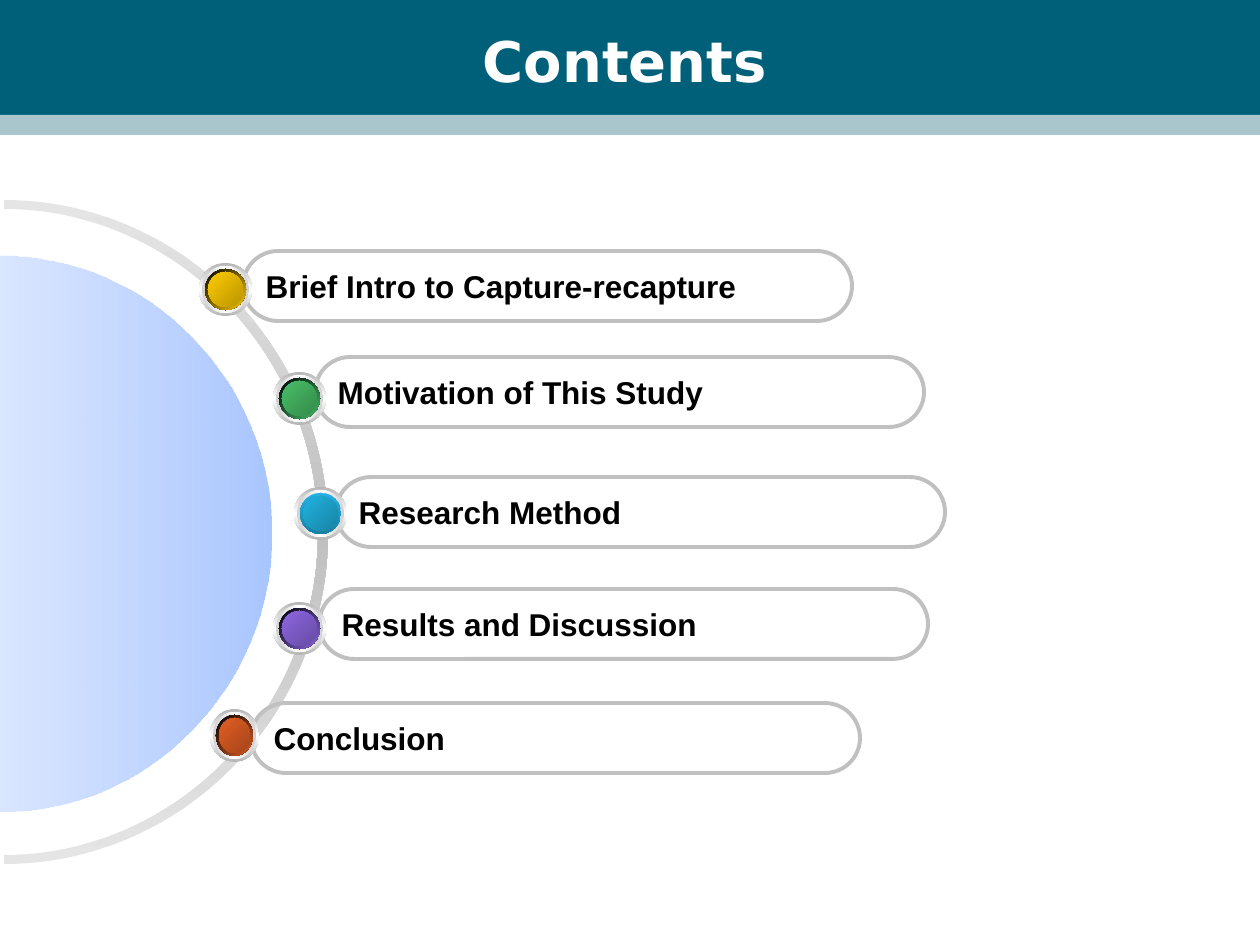
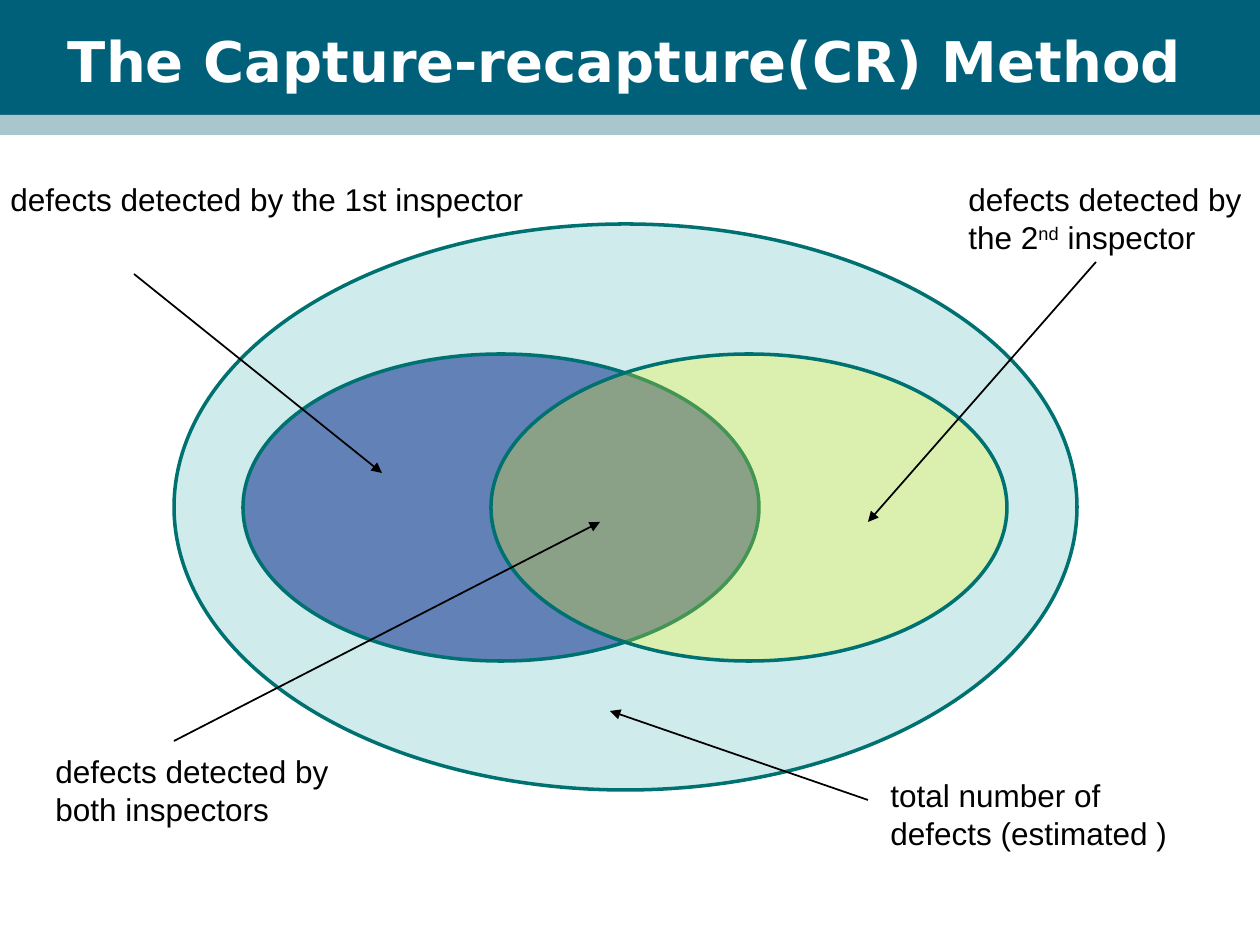
from lxml.etree import SubElement
from pptx import Presentation
from pptx.dml.color import RGBColor
from pptx.enum.shapes import MSO_CONNECTOR, MSO_SHAPE
from pptx.enum.text import MSO_ANCHOR, PP_ALIGN
from pptx.oxml.ns import qn
from pptx.util import Emu, Pt

EMU_PER_INCH, PX_PER_INCH = 914400, 126
SLIDE_W, SLIDE_H = 1260, 945
TITLE_FONT, BODY_FONT = "DejaVu Sans", "Arial"
WHITE, BLACK, SILVER = "FFFFFF", "000000", "C0C0C0"
BAND, BAND_EDGE, OUTLINE = "00607A", "A9C6CC", "007171"
PILL_W, PILL_H, BALL_H = 609, 70, 53
ROUNDNESS = 0.55

OUTER_RIM = (["B6B6B6", WHITE, "B6B6B6"], 90)
INNER_RIM = (["D1D1D1", WHITE, "D1D1D1"], 0)
HALO = ([WHITE, "6699FF", WHITE], 45)
GLOW = (["4E75C3", "6699FF", "4E75C3"], 315)

TOPICS = [
    ("Conclusion", (251, 703), (210, 709, 49), ([BLACK, "E35E23"], 45), "E35E23", "A6451A"),
    ("Results and Discussion", (319, 589), (273, 602, 53), ([BLACK, "8D67E1"], 45), "8D67E1", "674BA4"),
    ("Research Method", (336, 477), (294, 487, 53), (["21B3E1", "1880A1"], 90), "21B3E1", "1883A4"),
    ("Motivation of This Study", (315, 357), (273, 372, 53), ([BLACK, "48BE67"], 45), "48BE67", "358B4B"),
    ("Brief Intro to Capture-recapture", (243, 251), (199, 263, 53), ([BLACK, "FFCC00"], 45), "FFCC00", "BA9500"),
]

DEFECT_SETS = [
    ((0, 0, 903, 566), "009999", 19),
    ((69, 130, 516, 307), "163794", 59),
    ((317, 130, 516, 307), "FFFF00", 26),
]

CALLOUTS = [
    (["defects detected by both inspectors"], (43, 746, 359, 89), (174, 741), (600, 522)),
    (["defects detected by the 1st inspector"], (-2, 174, 543, 50), (134, 274), (382, 473)),
    (["defects detected by the 2", "nd", " inspector"], (956, 174, 320, 89), (1096, 262), (868, 522)),
    (["total number of defects (estimated )"], (878, 770, 320, 89), (868, 800), (610, 711)),
]


def px(length):
    """Turn px into EMU."""
    return Emu(round(length * EMU_PER_INCH / PX_PER_INCH))


def color(hex_code):
    """Turn a hex string into a colour."""
    return RGBColor.from_string(hex_code)


def set_alpha(color_element, percent):
    """Make a colour element partly transparent."""
    SubElement(color_element, qn("a:alpha"), val=str(percent * 1000))


def fill_solid(shape, hex_code, alpha=100):
    """Fill a shape with one colour."""
    shape.fill.solid()
    shape.fill.fore_color.rgb = color(hex_code)
    if alpha < 100:
        set_alpha(shape.element.spPr.find(qn("a:solidFill"))[0], alpha)


def fill_gradient(shape, hex_codes, angle, alphas=None):
    """Fill a shape with evenly spaced colours along a clockwise angle."""
    shape.fill.gradient()
    gradient = shape.element.spPr.find(qn("a:gradFill"))
    stops = gradient.find(qn("a:gsLst"))
    for stop in list(stops):
        stops.remove(stop)
    for index, hex_code in enumerate(hex_codes):
        position = 100000 * index // (len(hex_codes) - 1)
        stop = SubElement(stops, qn("a:gs"), pos=str(position))
        tint = SubElement(stop, qn("a:srgbClr"), val=hex_code)
        if alphas:
            set_alpha(tint, alphas[index])
    gradient.find(qn("a:lin")).set("ang", str(angle * 60000))


def outline(shape, hex_code=None, width=1):
    """Draw the outline, or remove it when no colour is given."""
    shape.shadow.inherit = False
    if hex_code:
        shape.line.color.rgb = color(hex_code)
        shape.line.width = Pt(width)
    else:
        shape.line.fill.background()


def add_preset(shapes, kind, box):
    """Add a preset shape in a px box."""
    return shapes.add_shape(kind, *map(px, box))


def format_text(frame, font, size, hex_code, bold=False, align=PP_ALIGN.LEFT):
    """Give all runs of a wrapping frame one look."""
    frame.word_wrap = True
    for paragraph in frame.paragraphs:
        paragraph.alignment = align
        for run in paragraph.runs:
            run.font.name = font
            run.font.size = Pt(size)
            run.font.bold = bold
            run.font.color.rgb = color(hex_code)


def add_titled_slide(prs, title):
    """Add a slide with the shared bands and title."""
    slide = prs.slides.add_slide(prs.slide_layouts[6])
    for box, hex_code in [((0, 0, SLIDE_W, 115), BAND), ((0, 115, SLIDE_W, 20), BAND_EDGE)]:
        band = add_preset(slide.shapes, MSO_SHAPE.RECTANGLE, box)
        fill_solid(band, hex_code)
        outline(band)
    heading = slide.shapes.add_textbox(*map(px, (42, 21, 1166, 78))).text_frame
    heading.text = title
    heading.vertical_anchor = MSO_ANCHOR.MIDDLE
    format_text(heading, TITLE_FONT, 32, WHITE, True, PP_ALIGN.CENTER)
    return slide


def arch(center, base, half_width, height):
    """List the end and control points of two curves forming an arch."""
    bend_x, bend_y = ROUNDNESS * half_width, ROUNDNESS * height
    offsets = [(-half_width, 0), (-half_width, bend_y), (-bend_x, height), (0, height),
               (bend_x, height), (half_width, bend_y), (half_width, 0)]
    return [(px(center + x), px(base - y)) for x, y in offsets]


def add_half_round(slide, arches, frame_height):
    """Add arches as one curved outline in a taller frame turned to the right."""
    points = sum(arches, [])
    builder = slide.shapes.build_freeform(*points[0])
    builder.add_line_segments(points[1:], close=True)
    shape = builder.convert_to_shape()
    outline(shape)
    route = next(shape.element.iter(qn("a:path")))
    segments = route.findall(qn("a:lnTo"))
    for first in [start + step for start in range(0, len(segments), 7) for step in (0, 3)]:
        curve = SubElement(route, qn("a:cubicBezTo"))
        segments[first].addprevious(curve)
        for segment in segments[first:first + 3]:
            curve.append(segment[0])
            route.remove(segment)
    shape.height = px(frame_height)
    route.set("h", str(shape.height))
    shape.rotation = 90
    return shape


def add_dial(slide, left, middle):
    """Draw the half ring and the half disc at the slide edge."""
    outer = arch(left - 1, middle - 5, 332, 324)
    inner = arch(left - 1, middle - 5, 323, 314)
    ring = add_half_round(slide, [outer, inner[::-1]], 658)
    fill_gradient(ring, ["E5E5E5", SILVER, "E5E5E5"], 0)
    disc = add_half_round(slide, [arch(left, middle + 2, 278, 271)], 542)
    fill_gradient(disc, ["6699FF", WHITE], 90, [56, 48])


def add_pill(slide, topic, left, top):
    """Draw one rounded topic label."""
    pill = add_preset(slide.shapes, MSO_SHAPE.ROUNDED_RECTANGLE, (left, top, PILL_W, PILL_H))
    pill.adjustments[0] = 0.5
    pill.fill.background()
    outline(pill, SILVER, 2.25)
    pill.text_frame.text = topic
    pill.text_frame.vertical_anchor = MSO_ANCHOR.MIDDLE
    format_text(pill.text_frame, BODY_FONT, 18, BLACK, True)


def add_ball(slide, left, top, width, shade, core):
    """Draw one ball as a group of nested discs."""
    ball = slide.shapes.add_group_shape()
    layers = [OUTER_RIM, INNER_RIM, HALO, shade, GLOW, core]
    for inset, (hex_codes, angle) in zip((0, 3, 6, 6, 9, 9), layers):
        box = (left + inset, top + inset, width - 2 * inset, BALL_H - 2 * inset)
        disc = add_preset(ball.shapes, MSO_SHAPE.OVAL, box)
        fill_gradient(disc, hex_codes, angle)
        outline(disc)


def add_venn(slide, left, top):
    """Draw the overlapping sets of defects."""
    for (x, y, width, height), hex_code, alpha in DEFECT_SETS:
        defects = add_preset(slide.shapes, MSO_SHAPE.OVAL, (left + x, top + y, width, height))
        fill_solid(defects, hex_code, alpha)
        outline(defects, OUTLINE, 2)


def add_arrow(slide, start, end):
    """Draw a thin arrow between two points."""
    arrow = slide.shapes.add_connector(MSO_CONNECTOR.STRAIGHT, *map(px, start + end))
    arrow.line.color.rgb = color(BLACK)
    arrow.line.width = Pt(1)
    properties = arrow.element.spPr
    SubElement(properties.find(qn("a:ln")), qn("a:tailEnd"), type="triangle")
    SubElement(properties, qn("a:effectLst"))


def add_caption(slide, parts, box):
    """Write a caption whose second part, if any, is raised."""
    frame = slide.shapes.add_textbox(*map(px, box)).text_frame
    paragraph = frame.paragraphs[0]
    for part in parts:
        paragraph.add_run().text = part
    format_text(frame, BODY_FONT, 18, BLACK)
    for ordinal in paragraph.runs[1:2]:
        ordinal.font._element.set("baseline", "30000")


def build_contents(prs):
    """Build the contents slide."""
    slide = add_titled_slide(prs, "Contents")
    add_dial(slide, 0, 532)
    for topic, corner, *_ in TOPICS:
        add_pill(slide, topic, *corner)
    for _, _, ball_box, shade, light, dark in reversed(TOPICS):
        add_ball(slide, *ball_box, shade, ([light, dark], 45))


def build_method(prs):
    """Build the method slide."""
    slide = add_titled_slide(prs, "The Capture-recapture(CR) Method")
    add_venn(slide, 174, 224)
    for _, _, start, end in CALLOUTS:
        add_arrow(slide, start, end)
    for index in (1, 2, 0, 3):
        parts, box, *_ = CALLOUTS[index]
        add_caption(slide, parts, box)


def main():
    """Build and save the presentation."""
    prs = Presentation()
    prs.slide_width, prs.slide_height = px(SLIDE_W), px(SLIDE_H)
    build_contents(prs)
    build_method(prs)
    prs.save("out.pptx")


if __name__ == "__main__":
    main()
